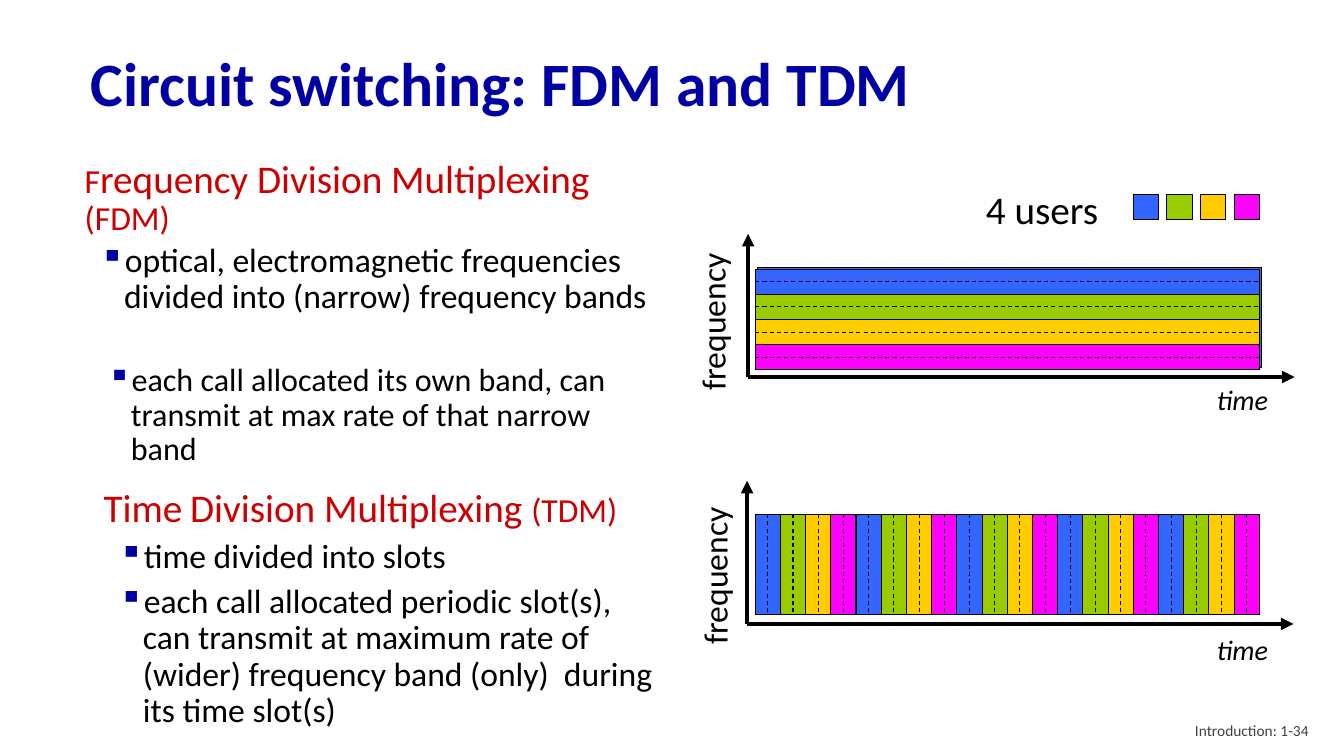
from dataclasses import dataclass

from lxml import etree
from pptx import Presentation
from pptx.dml.color import RGBColor
from pptx.enum.dml import MSO_LINE
from pptx.enum.shapes import MSO_CONNECTOR, MSO_SHAPE
from pptx.enum.text import MSO_ANCHOR, PP_ALIGN
from pptx.oxml.ns import qn
from pptx.util import Inches, Pt

RECTANGLE, STRAIGHT = MSO_SHAPE.RECTANGLE, MSO_CONNECTOR.STRAIGHT
DASHED, MIDDLE, TOP = MSO_LINE.DASH, MSO_ANCHOR.MIDDLE, MSO_ANCHOR.TOP
LEFT, RIGHT = PP_ALIGN.LEFT, PP_ALIGN.RIGHT


@dataclass(frozen=True)
class Theme:
    font: str = "Calibri"
    navy: str = "0000A3"
    red: str = "CC0000"
    black: str = "000000"
    gray: str = "404040"
    frame: str = "4472C4"
    users: tuple = ("3366FF", "99CC00", "FFCC00", "FF00FF")
    title: float = 44
    heading: float = 28
    body: float = 24
    small_body: float = 22.9
    axis: float = 20
    footer: float = 11
    thin: float = 0.75
    thick: float = 3


THEME = Theme()

TITLE = "Circuit switching: FDM and TDM"
FOOTER = "Introduction: 1-34"
LEGEND = "4 users"

# Each paragraph is (is_bullet, [(text, size), ...])
TEXT_BOXES = [
    dict(place=(0.84, 1.58, 5.76, 2.17), inset=False, hang=(0.39, 0.24), before=4,
         paragraphs=[
             (False, [("F", THEME.body),
                      ("requency Division Multiplexing ", THEME.heading),
                      ("(FDM)", THEME.body)]),
             (True, [("optical, electromagnetic frequencies divided into "
                      "(narrow) frequency bands", THEME.body)])]),
    dict(place=(0.93, 4.8, 5.77, 1), inset=True, hang=(0.39, 0.24), before=6,
         paragraphs=[
             (False, [("Time", THEME.heading), (" ", THEME.body),
                      ("Division Multiplexing ", THEME.heading),
                      ("(TDM)", THEME.body)]),
             (True, [("time divided into slots", THEME.body)])]),
    dict(place=(0.83, 3.56, 5.76, 1.14), inset=True, hang=(0.37, 0.23), before=4,
         paragraphs=[
             (True, [("each call allocated its own band, can transmit at max "
                      "rate of that narrow band", THEME.small_body)])]),
    dict(place=(0.93, 5.75, 5.77, 1.7), inset=True, hang=(0.39, 0.24), before=6,
         paragraphs=[
             (True, [("each call allocated periodic slot(s), can transmit at "
                      "maximum rate of (wider) frequency band (only)  during its "
                      "time slot(s)", THEME.body)])]),
]

DIAGRAMS = [
    dict(stacked=True, parts=4, top=2.67, frame=(7.51, 2.65), origin=(7.42, 3.74),
         frequency=(6.13, 2.79), time=(11.97, 3.75)),
    dict(stacked=False, parts=20, top=5.1, frame=(7.49, 5.1), origin=(7.41, 6.19),
         frequency=(6.15, 5.31), time=(11.97, 6.23)),
]
PLOT_LEFT, PLOT_WIDTH, PLOT_HEIGHT, UNIT = 7.49, 5, 1, 0.25
AXIS_UP, AXIS_RIGHT = 1.42, 5.42
LEGEND_LEFT, LEGEND_TOP, LEGEND_STEP = 11.24, 1.93, 1 / 3


def color(code):
    return RGBColor.from_string(code)


def style(para, size, code, bold=False, italic=False):
    for span in para.runs:
        font = span.font
        font.name, font.size = THEME.font, Pt(size)
        font.bold, font.italic = bold, italic
        font.color.rgb = color(code)


def add_label(page, text, place, size, code=THEME.black, italic=False,
              align=LEFT, anchor=TOP, rotation=0):
    box = page.shapes.add_textbox(*map(Inches, place))
    box.rotation = rotation
    frame = box.text_frame
    frame.word_wrap, frame.vertical_anchor = True, anchor
    frame.text = text
    frame.paragraphs[0].alignment = align
    style(frame.paragraphs[0], size, code, italic=italic)


def add_bullet(para, hang):
    indent, depth = hang
    properties = para._p.get_or_add_pPr()
    properties.set("marL", str(Inches(indent)))
    properties.set("indent", str(-Inches(depth)))
    tint = etree.SubElement(properties, qn("a:buClr"))
    etree.SubElement(tint, qn("a:srgbClr"), val=THEME.navy)
    etree.SubElement(properties, qn("a:buChar"), char="▪")


def add_text_box(page, place, inset, hang, before, paragraphs):
    box = page.shapes.add_textbox(*map(Inches, place))
    frame = box.text_frame
    frame.word_wrap = True
    if not inset:
        clear_margins(frame)
    for index, (is_bullet, spans) in enumerate(paragraphs):
        para = frame.add_paragraph() if index else frame.paragraphs[0]
        if is_bullet:
            add_bullet(para, hang)
        para.line_spacing = 0.9
        para.space_before = Pt(before if index else 0)
        for text, size in spans:
            span = para.add_run()
            span.text = text
        style(para, THEME.body, THEME.black if is_bullet else THEME.red)
        for span, (text, size) in zip(para.runs, spans):
            span.font.size = Pt(size)


def clear_margins(frame):
    frame.margin_left = frame.margin_right = 0
    frame.margin_top = frame.margin_bottom = 0


def add_block(page, place, fill):
    block = page.shapes.add_shape(RECTANGLE, *map(Inches, place))
    block.shadow.inherit = False
    block.fill.solid()
    block.fill.fore_color.rgb = color(fill)
    block.line.color.rgb = color(THEME.black)
    block.line.width = Pt(THEME.thin)


def add_line(page, start, end, width=THEME.thin, dashed=False, arrow=False):
    line = page.shapes.add_connector(STRAIGHT, *map(Inches, (*start, *end)))
    line.line.color.rgb = color(THEME.black)
    line.line.width = Pt(width)
    if dashed:
        line.line.dash_style = DASHED
    if arrow:
        etree.SubElement(line.line._get_or_add_ln(), qn("a:tailEnd"), type="triangle")
    etree.SubElement(line._element.spPr, qn("a:effectLst"))


def add_diagram(page, stacked, parts, top, frame, origin, frequency, time):
    """Draw two axes and a plot cut into bands (stacked) or time slots."""
    x, y = origin
    add_line(page, origin, (x, y - AXIS_UP), THEME.thick, arrow=True)
    add_line(page, origin, (x + AXIS_RIGHT, y), THEME.thick, arrow=True)
    add_label(page, "frequency", (*frequency, 1.87, 0.5), THEME.body, rotation=270)
    add_label(page, "time", (*time, 0.82, 0.43), THEME.axis, italic=True)
    add_block(page, (*frame, PLOT_WIDTH, PLOT_HEIGHT), THEME.frame)

    def add_divider(offset, dashed=False):
        if stacked:
            level = top + offset
            ends = (PLOT_LEFT, level), (PLOT_LEFT + PLOT_WIDTH, level)
        else:
            moment = PLOT_LEFT + offset
            ends = (moment, top), (moment, top + PLOT_HEIGHT)
        add_line(page, *ends, dashed=dashed)

    for index in range(parts):
        offset = index * UNIT
        place = ((PLOT_LEFT, top + offset, PLOT_WIDTH, UNIT) if stacked
                 else (PLOT_LEFT + offset, top, UNIT, PLOT_HEIGHT))
        add_block(page, place, THEME.users[index % len(THEME.users)])
    for index in range(parts):
        if index:
            add_divider(index * UNIT)
        add_divider((index + 0.5) * UNIT, dashed=True)


def main():
    deck = Presentation()
    deck.slide_width, deck.slide_height = Inches(13.33), Inches(7.5)
    page = deck.slides.add_slide(deck.slide_layouts[5])

    title = page.shapes.title
    title.left, title.top, title.width, title.height = map(Inches, (0.9, 0.37, 11.5, 0.98))
    frame = title.text_frame
    frame.text = TITLE
    frame.vertical_anchor = MIDDLE
    clear_margins(frame)
    para = frame.paragraphs[0]
    para.alignment, para.line_spacing = LEFT, 0.9
    style(para, THEME.title, THEME.navy, bold=True)

    for diagram in DIAGRAMS:
        add_diagram(page, **diagram)
    add_label(page, LEGEND, (9.68, 1.79, 1.61, 0.56), THEME.heading)
    for index, fill in enumerate(THEME.users):
        add_block(page, (LEGEND_LEFT + index * LEGEND_STEP, LEGEND_TOP, UNIT, UNIT), fill)
    for text_box in TEXT_BOXES:
        add_text_box(page, **text_box)
    add_label(page, FOOTER, (10.08, 7.05, 3, 0.4), THEME.footer, THEME.gray,
              align=RIGHT, anchor=MIDDLE)
    deck.save("out.pptx")


if __name__ == "__main__":
    main()
